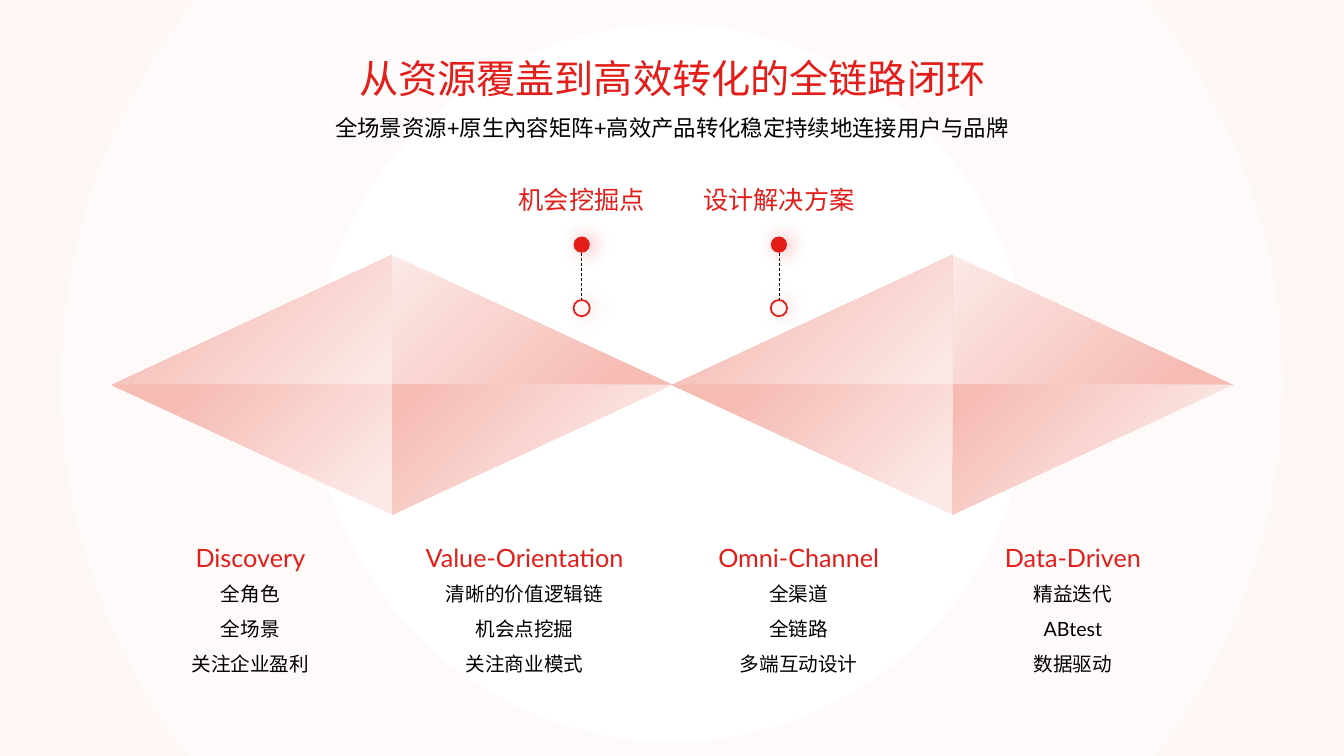
from math import asin, cos, pi, sin, tan

from lxml.etree import SubElement
from pptx import Presentation
from pptx.dml.color import RGBColor
from pptx.enum.dml import MSO_LINE
from pptx.enum.shapes import MSO_CONNECTOR, MSO_SHAPE
from pptx.enum.text import MSO_ANCHOR, MSO_AUTO_SIZE, PP_ALIGN
from pptx.oxml.ns import qn
from pptx.util import Cm, Pt

COLORS = {
    "red": "E31D19",
    "black": "000000",
    "frame": "FFF6F6",
    "ring": "FFFAFA",
    "light": "FBE9E7",
    "dark": "F6BCB4",
}
WIDTH, HEIGHT = 33.87, 19.05
CENTER_X, CENTER_Y = 16.93, 9.65
FACET_WIDTH, FACET_HEIGHT = 7.06, 3.27
DIAMOND_Y = 9.7
DOT = 0.41

FACETS = [
    (1, 0, "", 315, (0, "light"), (0.85, "dark")),
    (0, 0, "h", 225, (0.18, "dark"), (0.96, "light")),
    (1, 1, "v", 225, (0.22, "light"), (0.93, "dark")),
    (0, 1, "hv", 315, (0.09, "light"), (0.8, "dark")),
]
PINS = [(14.66, "机会挖掘点"), (19.63, "设计解决方案")]
COLUMNS = [
    ("Discovery", ["全角色", "全场景", "关注企业盈利"]),
    ("Value-Orientation", ["清晰的价值逻辑链", "机会点挖掘", "关注商业模式"]),
    ("Omni-Channel", ["全渠道", "全链路", "多端互动设计"]),
    ("Data-Driven", ["精益迭代", "ABtest", "数据驱动"]),
]


def rgb(name):
    return RGBColor.from_string(COLORS[name])


def write_line(shape, text, size, font, color, spacing=1.0):
    frame = shape.text_frame
    frame.vertical_anchor = MSO_ANCHOR.TOP
    paragraph = frame.paragraphs[0]
    paragraph.alignment = PP_ALIGN.CENTER
    paragraph.space_before = Pt(0)
    paragraph.line_spacing = spacing
    run = paragraph.add_run()
    run.text = text
    run.font.size = Pt(size)
    run.font.name = font
    run.font.color.rgb = rgb(color)


def add_label(slide, center, top, text, size, font, color):
    ems = sum(0.58 if letter.isascii() else 1 for letter in text)
    width = 0.51 + ems * Pt(size).cm
    height = 0.25 + 1.2 * Pt(size).cm
    box = slide.shapes.add_textbox(Cm(center - width / 2), Cm(top), Cm(width), Cm(height))
    box.text_frame.word_wrap = False
    box.text_frame.auto_size = MSO_AUTO_SIZE.SHAPE_TO_FIT_TEXT
    write_line(box, text, size, font, color)


def arc(radius, start, end, pieces):
    step = (end - start) / pieces
    pull = 4 / 3 * tan(step / 4)

    def point(angle, tangent):
        return (CENTER_X + radius * (cos(angle) - tangent * sin(angle)),
                CENTER_Y + radius * (sin(angle) + tangent * cos(angle)))

    curves = [[point(start, 0)]]
    for index in range(pieces):
        first, last = start + index * step, start + (index + 1) * step
        curves.append([point(first, pull), point(last, -pull), point(last, 0)])
    return curves


def side_arcs(radius):
    upper, lower = asin(-CENTER_Y / radius), asin((HEIGHT - CENTER_Y) / radius)
    return arc(radius, upper, lower, 2), arc(radius, pi - lower, pi - upper, 2)


def add_band(slide, contours, color):
    contours = [[[(Cm(x), Cm(y)) for x, y in segment] for segment in contour]
                for contour in contours]
    builder = slide.shapes.build_freeform(*contours[0][0][0])
    for index, contour in enumerate(contours):
        if index:
            builder.move_to(*contour[0][0])
        builder.add_line_segments(sum(contour[1:], []), close=True)
    band = builder.convert_to_shape()
    lines = band._element.iter(qn("a:lnTo"))
    lines = iter(list(lines))
    for segment in [segment for contour in contours for segment in contour[1:]]:
        line = next(lines)
        if len(segment) == 3:
            line.tag = qn("a:cubicBezTo")
            for _ in range(2):
                control = next(lines)
                line.append(control[0])
                control.getparent().remove(control)
    band.shadow.inherit = False
    band.fill.solid()
    band.fill.fore_color.rgb = rgb(color)
    band.line.fill.background()


def add_background(slide):
    right, left = side_arcs(15.29)
    right_side = right + [[(WIDTH, HEIGHT)], [(WIDTH, 0)]]
    left_side = left + [[(0, 0)], [(0, HEIGHT)]]
    add_band(slide, [right_side, left_side], "frame")
    right, left = side_arcs(15.4)
    add_band(slide, [arc(9.03, 0, 2 * pi, 4), right + left], "ring")


def add_facet(slide, left, top, flips, angle, stops):
    facet = slide.shapes.add_shape(
        MSO_SHAPE.RIGHT_TRIANGLE, Cm(left), Cm(top), Cm(FACET_WIDTH), Cm(FACET_HEIGHT))
    facet.shadow.inherit = False
    facet.line.fill.background()
    facet.fill.gradient()
    facet.fill.gradient_angle = angle
    for stop, (position, color) in zip(facet.fill.gradient_stops, stops):
        stop.position = position
        stop.color.rgb = rgb(color)
    for flip in flips:
        facet._element.spPr.xfrm.set("flip" + flip.upper(), "1")


def add_diamond(slide, left):
    for column, row, flips, angle, *stops in FACETS:
        add_facet(slide, left + column * FACET_WIDTH,
                  DIAMOND_Y + (row - 1) * FACET_HEIGHT, flips, angle, stops)


def add_glow(shape):
    shape.shadow.inherit = False
    effects = shape._element.spPr.find(qn("a:effectLst"))
    shadow = SubElement(effects, qn("a:outerShdw"), blurRad=str(Pt(14)),
                        dist=str(Pt(3)), dir="0", algn="ctr", rotWithShape="0")
    color = SubElement(shadow, qn("a:srgbClr"), val=COLORS["red"])
    SubElement(color, qn("a:alpha"), val="40000")


def add_dot(slide, center, top, filled):
    dot = slide.shapes.add_shape(
        MSO_SHAPE.OVAL, Cm(center - DOT / 2), Cm(top), Cm(DOT), Cm(DOT))
    if filled:
        dot.fill.solid()
        dot.fill.fore_color.rgb = rgb("red")
        dot.line.fill.background()
    else:
        dot.fill.background()
        dot.line.color.rgb = rgb("red")
        dot.line.width = Pt(1.25)
    add_glow(dot)


def add_pin(slide, center, text):
    top, bottom = 5.96, 7.56
    add_dot(slide, center, top, True)
    add_dot(slide, center, bottom, False)
    stem = slide.shapes.add_connector(
        MSO_CONNECTOR.STRAIGHT, Cm(center), Cm(top + DOT), Cm(center), Cm(bottom))
    stem.line.color.rgb = rgb("black")
    stem.line.width = Pt(0.5)
    stem.line.dash_style = MSO_LINE.DASH
    SubElement(stem._element.spPr, qn("a:effectLst"))
    add_label(slide, center, 4.52, text, 18, "Cabin", "red")


def add_heading(slide, heading, box, *text_format):
    heading.left, heading.top, heading.width, heading.height = map(Cm, box)
    heading.text_frame.word_wrap = True
    heading.text_frame.auto_size = MSO_AUTO_SIZE.NONE
    write_line(heading, *text_format)
    slide.shapes._spTree.append(heading._element)


def main():
    presentation = Presentation()
    presentation.slide_width, presentation.slide_height = Cm(WIDTH), Cm(HEIGHT)
    slide = presentation.slides.add_slide(presentation.slide_layouts[0])
    title, subtitle = slide.placeholders
    add_background(slide)
    add_heading(slide, title, (8.28, 1.24, 17.32, 1.45),
                "从资源覆盖到高效转化的全链路闭环", 28, "Karla", "red")
    add_heading(slide, subtitle, (5.69, 2.54, 22.5, 1.09),
                "全场景资源+原生內容矩阵+高效产品转化稳定持续地连接用户与品牌",
                16, "Lato", "black", 1.3)
    for index in range(2):
        add_diamond(slide, 2.82 + index * 2 * FACET_WIDTH)
    for center, text in PINS:
        add_pin(slide, center, text)
    for index, (heading, lines) in enumerate(COLUMNS):
        center = 6.31 + index * 6.91
        add_label(slide, center, 13.54, heading, 18, "Lato", "red")
        for row, line in enumerate(lines):
            add_label(slide, center, 14.55 + row * 0.87, line, 14, "Lato", "black")
    presentation.save("out.pptx")


if __name__ == "__main__":
    main()
